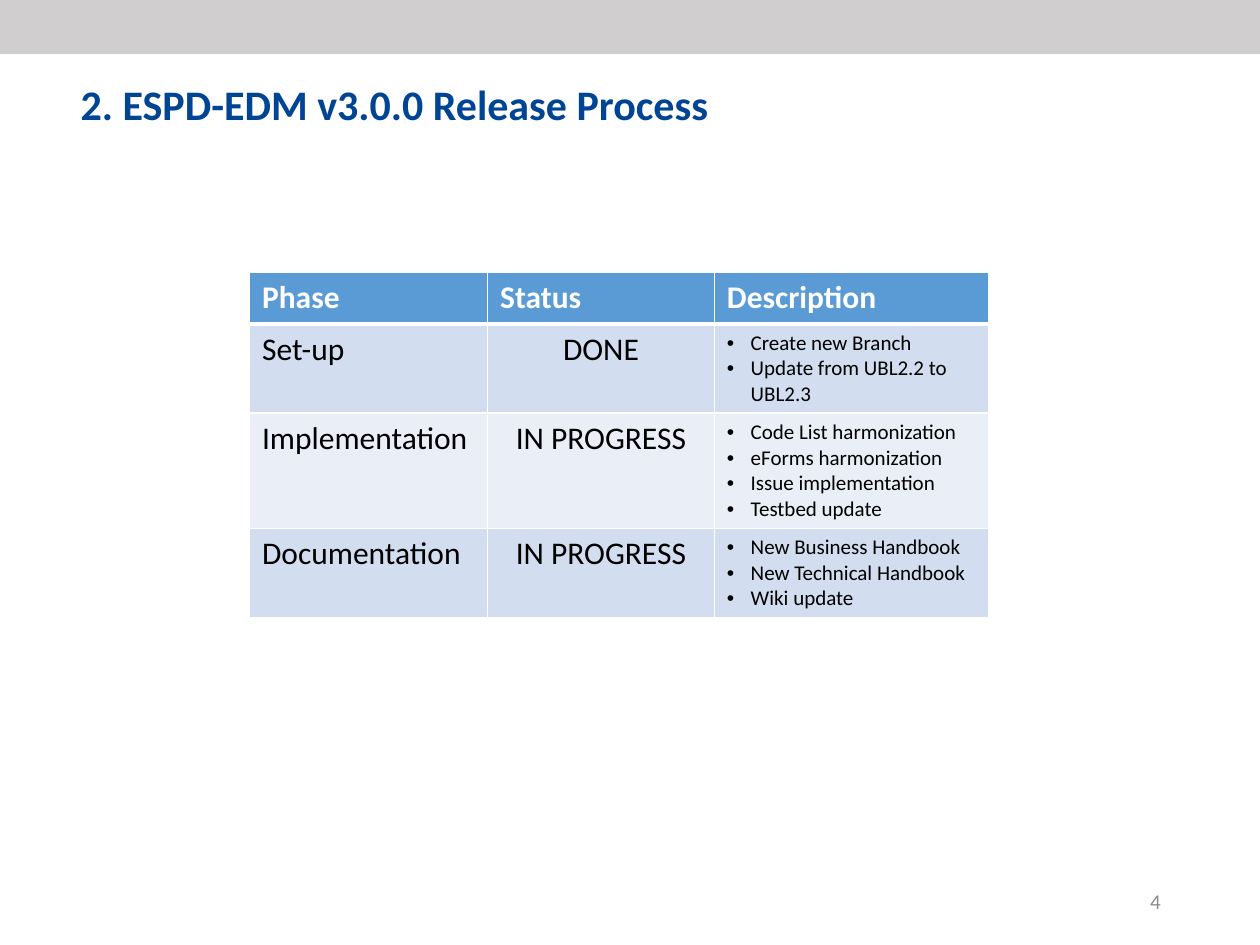
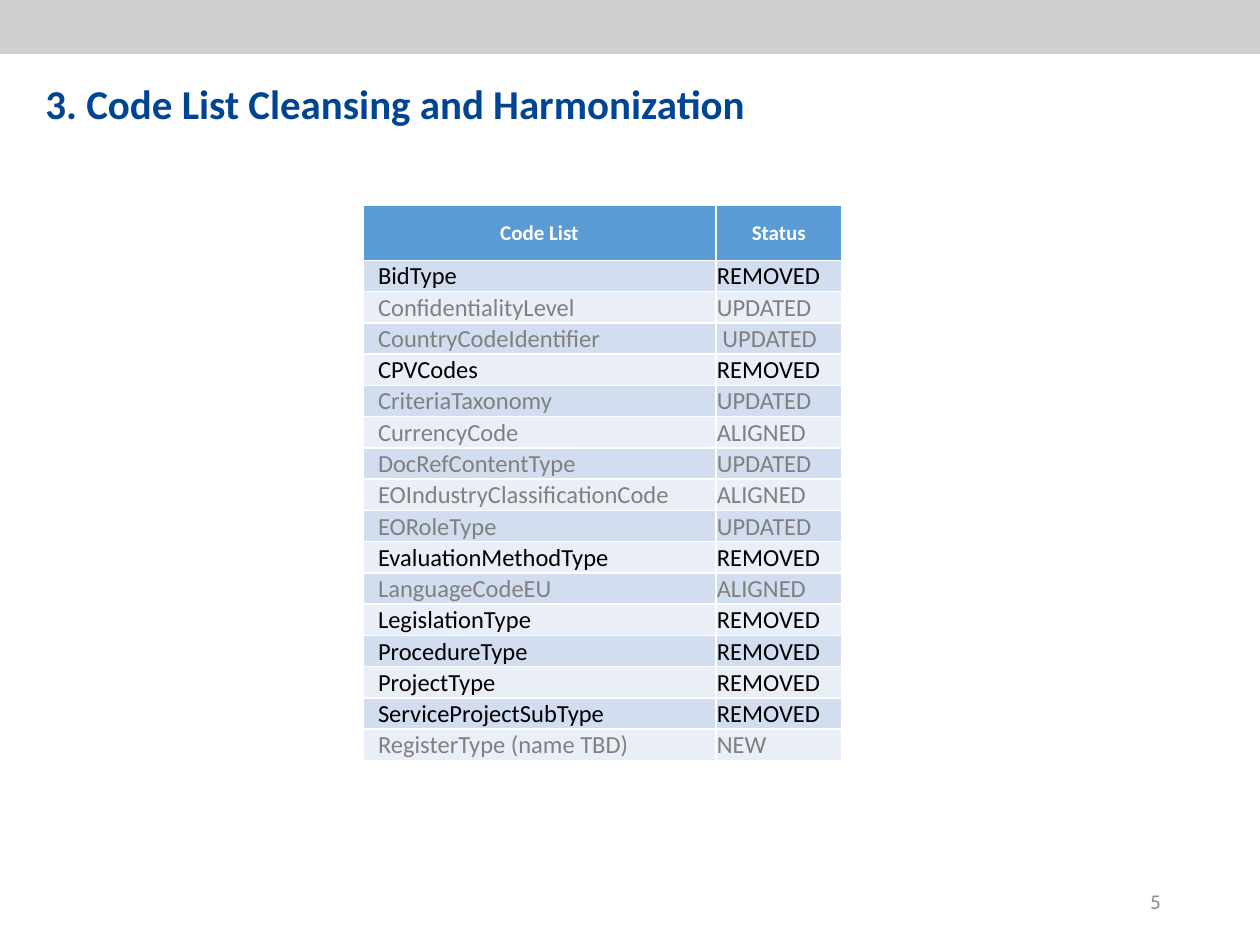
from lxml.etree import SubElement
from pptx import Presentation
from pptx.dml.color import RGBColor
from pptx.enum.shapes import MSO_SHAPE
from pptx.enum.text import MSO_ANCHOR, MSO_AUTO_SIZE, PP_ALIGN
from pptx.oxml.ns import qn
from pptx.util import Cm, Pt

FONT = "Calibri"
COLOURS = {"band": "D0CECE", "title": "004494", "number": "8C8C8C", "header": "5B9BD5",
           "odd": "D2DEEF", "even": "EAEFF7", "white": "FFFFFF", "black": "000000",
           "grey": "808080"}

PHASE_HEADER = ("Phase", "Status", "Description")
PHASES = [
    ("Set-up", "DONE", ["Create new Branch", "Update from UBL2.2 to UBL2.3"]),
    ("Implementation", "IN PROGRESS", ["Code List harmonization", "eForms harmonization",
                                       "Issue implementation", "Testbed update"]),
    ("Documentation", "IN PROGRESS", ["New Business Handbook", "New Technical Handbook",
                                      "Wiki update"]),
]
PHASE_LINES = (3, 4, 3)  # description lines once wrapped

CODE_HEADER = ("Code List", "Status")
CODE_LISTS = [
    ("BidType", "REMOVED"),
    ("ConfidentialityLevel", "UPDATED"),
    ("CountryCodeIdentifier", " UPDATED"),
    ("CPVCodes", "REMOVED"),
    ("CriteriaTaxonomy", "UPDATED"),
    ("CurrencyCode", "ALIGNED"),
    ("DocRefContentType", "UPDATED"),
    ("EOIndustryClassificationCode", "ALIGNED"),
    ("EORoleType", "UPDATED"),
    ("EvaluationMethodType", "REMOVED"),
    ("LanguageCodeEU", "ALIGNED"),
    ("LegislationType", "REMOVED"),
    ("ProcedureType", "REMOVED"),
    ("ProjectType", "REMOVED"),
    ("ServiceProjectSubType", "REMOVED"),
    ("RegisterType (name TBD)", "NEW"),
]


def colour(name):
    """Return the named palette colour."""
    return RGBColor.from_string(COLOURS[name])


def write(frame, text, size=18, tint="black", bold=False, align=PP_ALIGN.LEFT, bullet=False):
    """Fill a text frame with one string, or with one paragraph per list item."""
    lines = text if isinstance(text, list) else [text]
    for index, line in enumerate(lines):
        para = frame.add_paragraph() if index else frame.paragraphs[0]
        para.alignment = align
        span = para.add_run()
        span.text = line
        span.font.name = FONT
        span.font.size = Pt(size)
        span.font.bold = bold
        span.font.color.rgb = colour(tint)
        if bullet:
            properties = para._p.get_or_add_pPr()
            properties.set("marL", str(Cm(0.48)))
            properties.set("indent", str(-Cm(0.48)))
            SubElement(properties, qn("a:buFont"), typeface="Arial")
            SubElement(properties, qn("a:buChar"), char="•")


def add_page(deck, title, number, left, width, height, size):
    """Add a slide with the top band, the title and the slide number."""
    page = deck.slides.add_slide(deck.slide_layouts.get_by_name("Title Only"))
    band = page.shapes.add_shape(MSO_SHAPE.RECTANGLE, 0, 0, deck.slide_width, Cm(1.09))
    band.shadow.inherit = False
    band.fill.solid()
    band.fill.fore_color.rgb = colour("band")
    band.line.fill.background()

    heading = page.shapes.title
    heading.left, heading.top = Cm(left), Cm(1.45)
    heading.width, heading.height = Cm(width), Cm(height)
    frame = heading.text_frame
    frame.auto_size = MSO_AUTO_SIZE.NONE
    frame.vertical_anchor = MSO_ANCHOR.TOP
    write(frame, title, size=size, tint="title", bold=True)

    box = page.shapes.add_textbox(Cm(17.93), Cm(17.65), Cm(5.72), Cm(1.02))
    box.text_frame.word_wrap = True
    box.text_frame.vertical_anchor = MSO_ANCHOR.MIDDLE
    write(box.text_frame, str(number), size=12, tint="number", align=PP_ALIGN.RIGHT)
    return page


def set_borders(cell, top=1, bottom=1):
    """Draw white lines round a cell, with widths in points."""
    properties = cell._tc.get_or_add_tcPr()
    for side, width in (("L", 1), ("R", 1), ("T", top), ("B", bottom)):
        line = SubElement(properties, qn(f"a:ln{side}"), w=str(Pt(width)))
        fill = SubElement(line, qn("a:solidFill"))
        SubElement(fill, qn("a:srgbClr"), val=COLOURS["white"])


def add_grid(page, left, top, widths, heights, header_line=1):
    """Add a banded table with white lines and return its rows of cells."""
    table = page.shapes.add_table(len(heights), len(widths), Cm(left), Cm(top),
                                  Cm(sum(widths)), Cm(sum(heights))).table
    table.horz_banding = False
    for column, width in zip(table.columns, widths):
        column.width = Cm(width)
    for index, (row, height) in enumerate(zip(table.rows, heights)):
        row.height = Cm(height)
        band = "header" if index == 0 else ("odd" if index % 2 else "even")
        for cell in row.cells:
            set_borders(cell, top=header_line if index == 1 else 1,
                        bottom=header_line if index == 0 else 1)
            cell.fill.solid()
            cell.fill.fore_color.rgb = colour(band)
    return [list(row.cells) for row in table.rows]


def add_phases(page):
    """Add the table of release phases."""
    heights = [1.04] + [round(0.26 + 0.515 * lines, 2) for lines in PHASE_LINES]
    header, *body = add_grid(page, 5.03, 5.49, (4.8, 4.57, 5.54), heights, header_line=3)
    for cell, text in zip(header, PHASE_HEADER):
        write(cell.text_frame, text, tint="white", bold=True)
    for cells, (phase, status, tasks) in zip(body, PHASES):
        write(cells[0].text_frame, phase)
        write(cells[1].text_frame, status, align=PP_ALIGN.CENTER)
        write(cells[2].text_frame, tasks, size=12, bullet=True)


def add_code_lists(page):
    """Add the table of code lists, with the removed ones in black."""
    heights = [1.11] + [0.63] * len(CODE_LISTS)
    header, *body = add_grid(page, 7.32, 4.14, (7.11, 2.54), heights)
    for cell in header + [cell for cells in body for cell in cells]:
        cell.vertical_anchor = MSO_ANCHOR.MIDDLE
        cell.margin_left = cell.margin_right = cell.margin_top = Cm(0.02)
        cell.margin_bottom = 0
    for cell, text in zip(header, CODE_HEADER):
        write(cell.text_frame, text, size=12, tint="white", bold=True, align=PP_ALIGN.CENTER)
    for cells, entry in zip(body, CODE_LISTS):
        cells[0].margin_left = Cm(0.3)
        tint = "black" if entry[1] == "REMOVED" else "grey"
        for cell, text in zip(cells, entry):
            write(cell.text_frame, text, size=14, tint=tint)


deck = Presentation()
deck.slide_width, deck.slide_height = Cm(25.4), Cm(19.05)
add_phases(add_page(deck, "2. ESPD-EDM v3.0.0 Release Process", 4,
                    left=1.37, width=21.46, height=1.27, size=24))
add_code_lists(add_page(deck, "3. Code List Cleansing and Harmonization", 5,
                        left=0.66, width=23.01, height=1.78, size=23.4))
deck.save("out.pptx")
